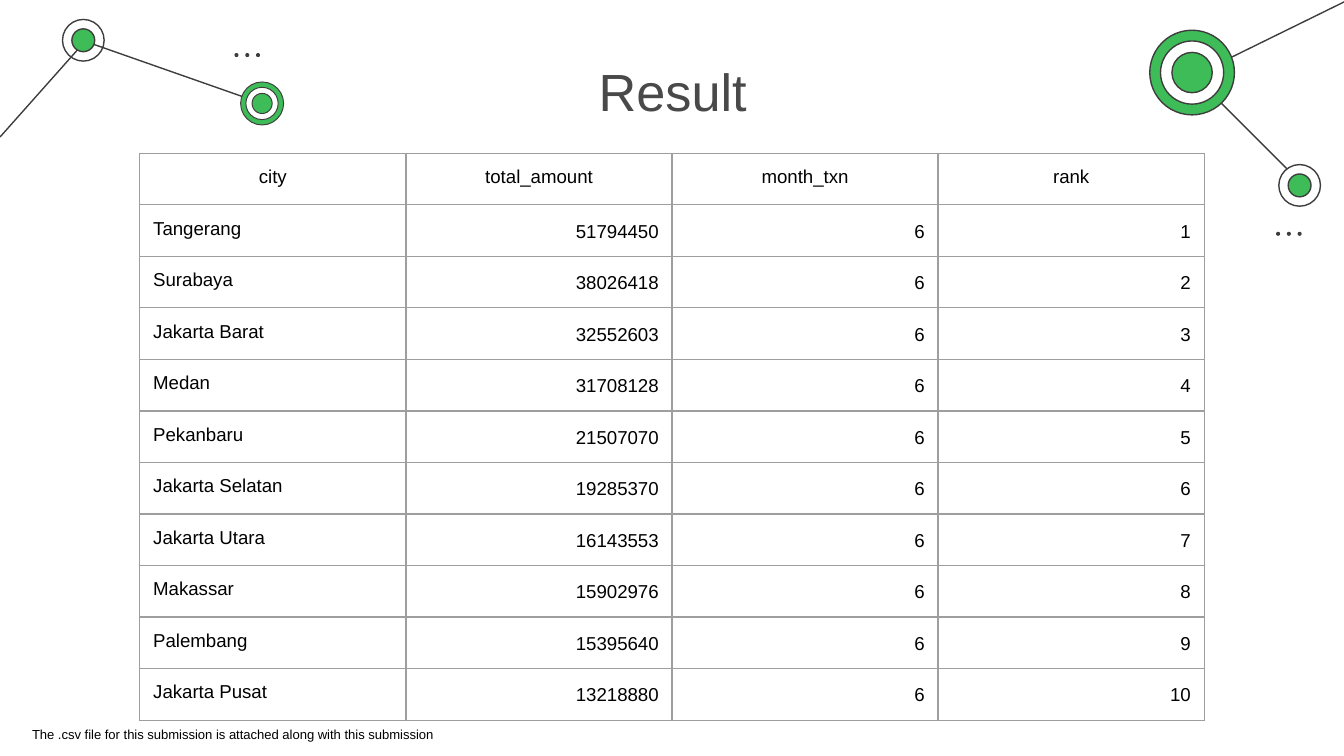
import pptx
import pptx.util
import pptx.dml.color
import pptx.enum.shapes
import pptx.enum.text
import pptx.oxml.ns
import lxml.etree

Inches = pptx.util.Inches
Pt = pptx.util.Pt
ALIGN = pptx.enum.text.PP_ALIGN
ANCHOR = pptx.enum.text.MSO_ANCHOR
DARK, GREEN, WHITE, GRID = "3D3D3D", "3DBC58", "FFFFFF", "9E9E9E"

HEADINGS = ["city", "total_amount", "month_txn", "rank"]
CITY_TOTALS = [
    ("Tangerang", 51794450),
    ("Surabaya", 38026418),
    ("Jakarta Barat", 32552603),
    ("Medan", 31708128),
    ("Pekanbaru", 21507070),
    ("Jakarta Selatan", 19285370),
    ("Jakarta Utara", 16143553),
    ("Makassar", 15902976),
    ("Palembang", 15395640),
    ("Jakarta Pusat", 13218880),
]
MONTH = 6


def color(value):
    return pptx.dml.color.RGBColor.from_string(value)


def add_element(parent, tag, **attributes):
    return lxml.etree.SubElement(parent, pptx.oxml.ns.qn(tag), attributes)


def write(frame, text, size, shade, align):
    para = frame.paragraphs[0]
    para.alignment = align
    span = para.add_run()
    span.text = text
    span.font.size = Pt(size)
    span.font.name = "Arial"
    span.font.color.rgb = color(shade)
    return para


def add_text(page, box, text, size, shade, align, anchor):
    frame = page.shapes.add_textbox(*map(Inches, box)).text_frame
    frame.word_wrap = True
    frame.vertical_anchor = anchor
    frame.margin_left = frame.margin_right = Inches(0.1)
    frame.margin_top = frame.margin_bottom = Inches(0.1)
    write(frame, text, size, shade, align)


def add_link(page, start, end):
    link = page.shapes.add_connector(
        pptx.enum.shapes.MSO_CONNECTOR.STRAIGHT, *map(Inches, (*start, *end)))
    link.line.color.rgb = color(DARK)
    link.line.width = Pt(0.75)
    add_element(link._element.spPr, "a:effectLst")


def add_circle(page, center, diameter, fill, outline):
    left, top = (value - diameter / 2 for value in center)
    circle = page.shapes.add_shape(
        pptx.enum.shapes.MSO_SHAPE.OVAL, *map(Inches, (left, top, diameter, diameter)))
    circle.shadow.inherit = False
    if fill:
        circle.fill.solid()
        circle.fill.fore_color.rgb = color(fill)
    else:
        circle.fill.background()
    if outline:
        circle.line.color.rgb = color(DARK)
        circle.line.width = Pt(outline)
    else:
        circle.line.fill.background()


def add_node(page, center, rings, outline):
    for diameter, fill in rings:
        add_circle(page, center, diameter, fill, outline)


def add_dots(page, left, middle):
    for index in range(3):
        add_circle(page, (left + 0.08 * index, middle), 0.03, DARK, None)


def add_left_network(page, left, top):
    hub = (left + 0.62, top + 0.3)
    target = (left + 1.95, top + 0.77)
    add_link(page, (left + 0.64, top + 0.31), target)
    add_link(page, (left, top + 1.02), (left + 0.64, top + 0.3))
    add_node(page, hub, [(0.31, None), (0.17, GREEN)], 0.75)
    add_node(page, target, [(0.32, GREEN), (0.24, WHITE), (0.15, GREEN)], 0.5)
    add_dots(page, left + 1.76, top + 0.41)


def add_right_network(page, left, top):
    hub = (left + 0.37, top + 0.54)
    satellite = (left + 1.17, top + 1.38)
    add_link(page, (left + 1.17, top + 1.35), (left + 0.37, top + 0.55))
    add_link(page, (left + 1.51, top + 0.01), (left + 0.41, top + 0.55))
    add_node(page, hub, [(0.63, GREEN), (0.47, WHITE), (0.3, GREEN)], 0.75)
    add_node(page, satellite, [(0.31, WHITE), (0.17, GREEN)], 0.75)
    add_dots(page, left + 1.01, top + 1.74)


def set_borders(cell):
    properties = cell._tc.get_or_add_tcPr()
    for position, side in enumerate(("a:lnL", "a:lnR", "a:lnT", "a:lnB")):
        border = lxml.etree.Element(pptx.oxml.ns.qn(side), w=str(Pt(0.75)))
        add_element(add_element(border, "a:solidFill"), "a:srgbClr", val=GRID)
        properties.insert(position, border)


def add_result_table(page, box):
    rows = [HEADINGS] + [
        (city, total, MONTH, rank)
        for rank, (city, total) in enumerate(CITY_TOTALS, 1)]
    table = page.shapes.add_table(len(rows), len(HEADINGS), *map(Inches, box)).table
    table.first_row = table.horz_banding = False
    for column in table.columns:
        column.width = Inches(box[2] / len(HEADINGS))
    for row_index, values in enumerate(rows):
        table.rows[row_index].height = Inches(box[3] / len(rows))
        for column_index, value in enumerate(values):
            cell = table.cell(row_index, column_index)
            cell.fill.background()
            numeric = row_index > 0 and column_index > 0
            cell.margin_left = cell.margin_right = cell.margin_top = Inches(0.1)
            cell.margin_bottom = Inches(0.09 if numeric else 0.1)
            align = ALIGN.CENTER if row_index == 0 else ALIGN.RIGHT if numeric else ALIGN.LEFT
            para = write(cell.text_frame, str(value), 10, "000000", align)
            if numeric:
                para.line_spacing = 1.15
            set_borders(cell)


def main():
    deck = pptx.Presentation()
    deck.slide_width, deck.slide_height = Inches(10), Inches(10 * 9 / 16)
    page = deck.slides.add_slide(deck.slide_layouts[6])
    add_left_network(page, 0, 0)
    add_right_network(page, 8.5, 0)
    add_text(page, (1.72, 0.35, 6.57, 0.65), "Result", 28, "494949",
             ALIGN.CENTER, ANCHOR.MIDDLE)
    add_result_table(page, (1.04, 1.14, 7.92, 4.22))
    add_text(page, (0.14, 5.35, 3.47, 0.32),
             "The .csv file for this submission is attached along with this submission",
             7, "000000", ALIGN.LEFT, ANCHOR.TOP)
    deck.save("out.pptx")


if __name__ == "__main__":
    main()
